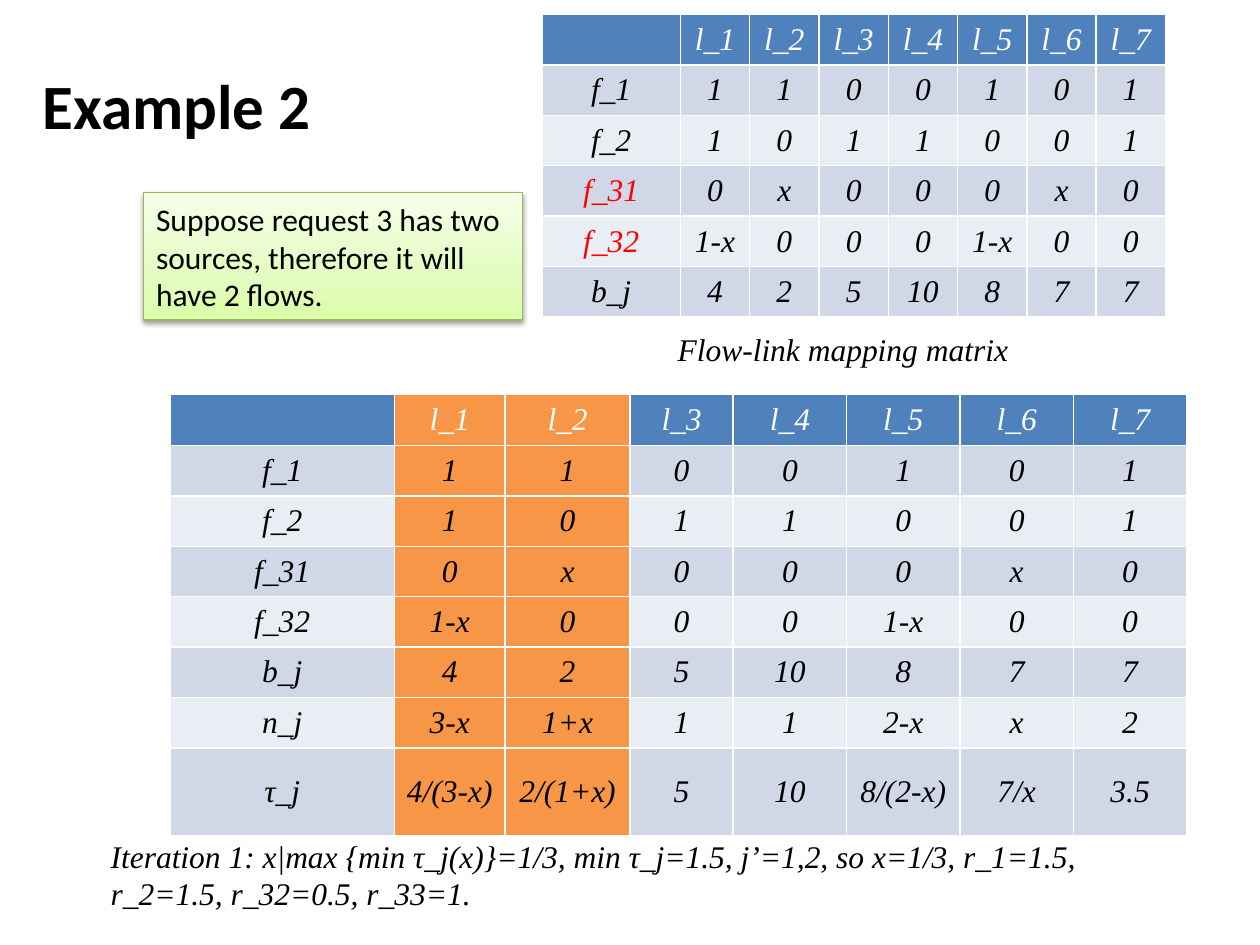
import copy

import lxml.etree
import pptx
import pptx.dml.color
import pptx.enum.shapes
import pptx.enum.text
import pptx.oxml.ns
import pptx.util

Inches, Pt = pptx.util.Inches, pptx.util.Pt
RGBColor = pptx.dml.color.RGBColor
PP_ALIGN = pptx.enum.text.PP_ALIGN
qn = pptx.oxml.ns.qn

BLACK = RGBColor(0x00, 0x00, 0x00)
WHITE = RGBColor(0xFF, 0xFF, 0xFF)
RED = RGBColor(0xFF, 0x00, 0x00)
BLUE = RGBColor(0x4F, 0x81, 0xBD)
ORANGE = RGBColor(0xF7, 0x96, 0x46)
BAND_DARK = RGBColor(0xD0, 0xD8, 0xE8)
BAND_LIGHT = RGBColor(0xE9, 0xED, 0xF4)
GREEN_LINE = RGBColor(0x98, 0xB9, 0x55)
GREEN_STOPS = [
    (0, RGBColor(0xDA, 0xFD, 0xA7)),
    (0.35, RGBColor(0xE4, 0xFC, 0xC2)),
    (1, RGBColor(0xF5, 0xFF, 0xE7)),
]
SERIF, SANS = "Times New Roman", "Calibri"


def write(tf, text, font=SERIF, size=18, color=BLACK, bold=False, italic=True,
          align=PP_ALIGN.LEFT):
    p = tf.paragraphs[0]
    p.alignment = align
    r = p.add_run()
    r.text = text
    r.font.name = font
    r.font.size = Pt(size)
    r.font.color.rgb = color
    r.font.bold = bold
    r.font.italic = italic


prs = pptx.Presentation()
prs.slide_width, prs.slide_height = Inches(10), Inches(7.5)
s = prs.slides.add_slide(prs.slide_layouts[6])

# Flow-link matrices
header = ["", "l_1", "l_2", "l_3", "l_4", "l_5", "l_6", "l_7"]
flow_rows = [
    header,
    ["f_1", "1", "1", "0", "0", "1", "0", "1"],
    ["f_2", "1", "0", "1", "1", "0", "0", "1"],
    ["f_31", "0", "x", "0", "0", "0", "x", "0"],
    ["f_32", "1-x", "0", "0", "0", "1-x", "0", "0"],
    ["b_j", "4", "2", "5", "10", "8", "7", "7"],
]
iteration_rows = flow_rows + [
    ["n_j", "3-x", "1+x", "1", "1", "2-x", "x", "2"],
    ["τ_j", "4/(3-x)", "2/(1+x)", "5", "10", "8/(2-x)", "7/x", "3.5"],
]
# left, top, column widths, last row height, rows, orange columns, red labels
matrices = [
    (4.3, 0.11, [1.1] + [0.55] * 7, 0.4, flow_rows, (), ("f_31", "f_32")),
    (1.35, 3.13, [1.78, 0.88, 0.99, 0.82] + [0.9] * 4, 0.7, iteration_rows,
     (1, 2), ()),
]
for left, top, widths, last_height, rows, orange_cols, red_labels in matrices:
    heights = [0.4] * (len(rows) - 1) + [last_height]
    table = s.shapes.add_table(
        len(rows), len(widths), Inches(left), Inches(top),
        Inches(sum(widths)), Inches(sum(heights))).table
    for col, width in zip(table.columns, widths):
        col.width = Inches(width)
    for row, height in zip(table.rows, heights):
        row.height = Inches(height)
    for i, values in enumerate(rows):
        row_fill = BLUE if i == 0 else BAND_DARK if i % 2 else BAND_LIGHT
        for j, value in enumerate(values):
            cell = table.cell(i, j)
            cell.fill.solid()
            cell.fill.fore_color.rgb = ORANGE if j in orange_cols else row_fill
            cell.vertical_anchor = pptx.enum.text.MSO_ANCHOR.MIDDLE
            if value:
                color = WHITE if i == 0 else RED if value in red_labels else BLACK
                write(cell.text_frame, value, color=color, align=PP_ALIGN.CENTER)

# Note on the two flows
sp = s.shapes.add_shape(pptx.enum.shapes.MSO_SHAPE.RECTANGLE,
                        Inches(1.14), Inches(1.53), Inches(3.01), Inches(1.01))
sp.fill.gradient()
sp.fill.gradient_angle = 90
stop_list = sp.element.spPr.find(".//" + qn("a:gsLst"))
stop_list.append(copy.deepcopy(stop_list[0]))
for stop, (position, color) in zip(sp.fill.gradient_stops, GREEN_STOPS):
    stop.position = position
    stop.color.rgb = color
sp.line.color.rgb = GREEN_LINE
sp.line.width = Pt(0.75)
sp.shadow.inherit = False
shadow = lxml.etree.SubElement(
    sp.element.spPr.find(qn("a:effectLst")), qn("a:outerShdw"),
    blurRad=str(Pt(3.1)), dist=str(Pt(1.6)), dir="5400000", rotWithShape="0")
shadow_color = lxml.etree.SubElement(shadow, qn("a:srgbClr"), val=str(BLACK))
lxml.etree.SubElement(shadow_color, qn("a:alpha"), val="38000")
sp.text_frame.word_wrap = True
write(sp.text_frame,
      "Suppose request 3 has two sources, therefore it will have 2 flows.",
      font=SANS, italic=False)

# Title, caption and conclusion
text_boxes = [
    (0.24, 0.48, 2.36, 0.71, False, "Example 2",
     dict(font=SANS, size=36, bold=True, italic=False)),
    (5.28, 2.57, 2.93, 0.4, False, "Flow-link mapping matrix", {}),
    (0.78, 6.59, 8.63, 0.71, True,
     "Iteration 1: x|max {min τ_j(x)}=1/3, min τ_j=1.5, j’=1,2, so x=1/3, "
     "r_1=1.5, r_2=1.5, r_32=0.5, r_33=1.", {}),
]
for left, top, width, height, wrap, text, style in text_boxes:
    tf = s.shapes.add_textbox(Inches(left), Inches(top),
                              Inches(width), Inches(height)).text_frame
    tf.word_wrap = wrap
    tf.auto_size = pptx.enum.text.MSO_AUTO_SIZE.SHAPE_TO_FIT_TEXT
    write(tf, text, **style)

prs.save("out.pptx")
